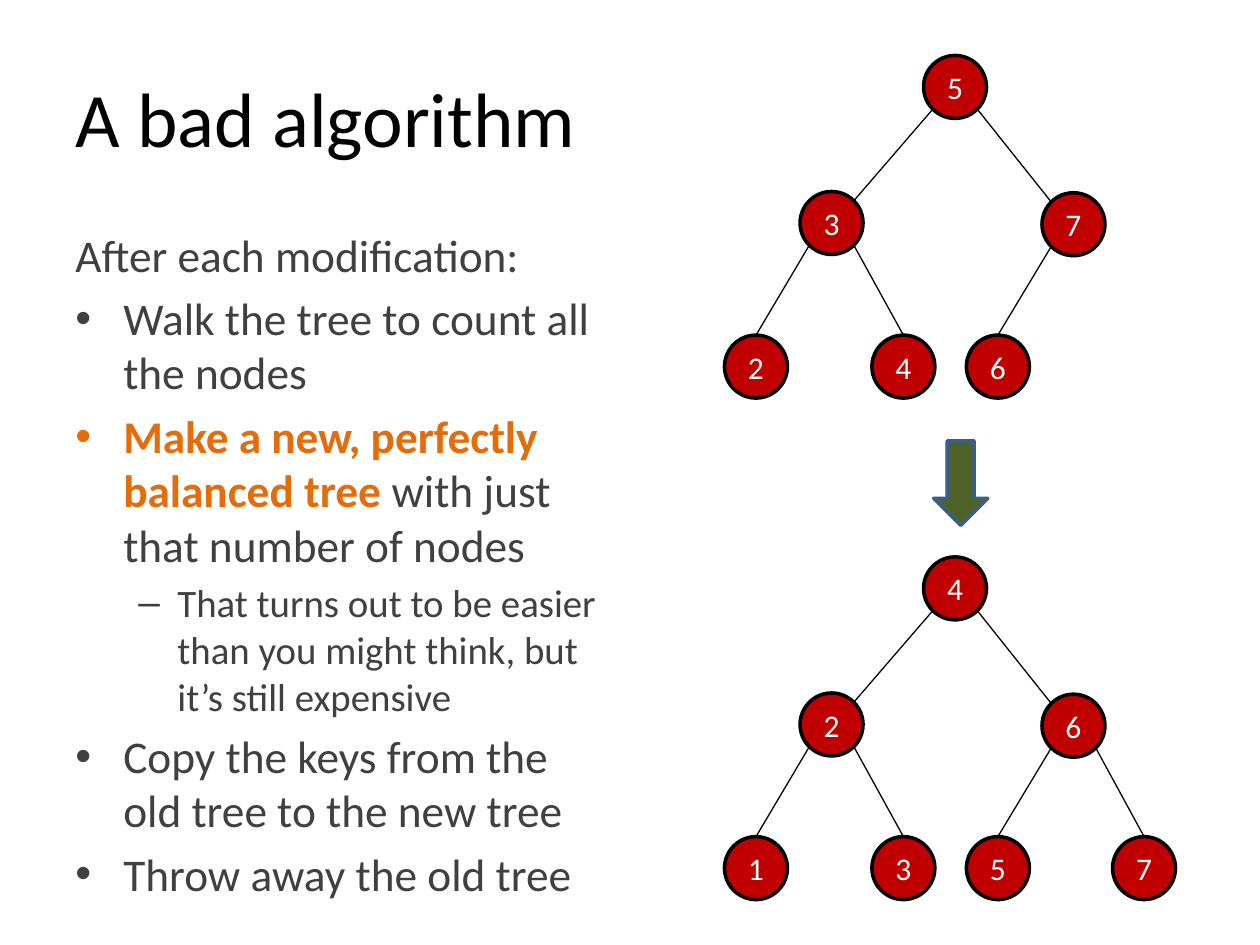
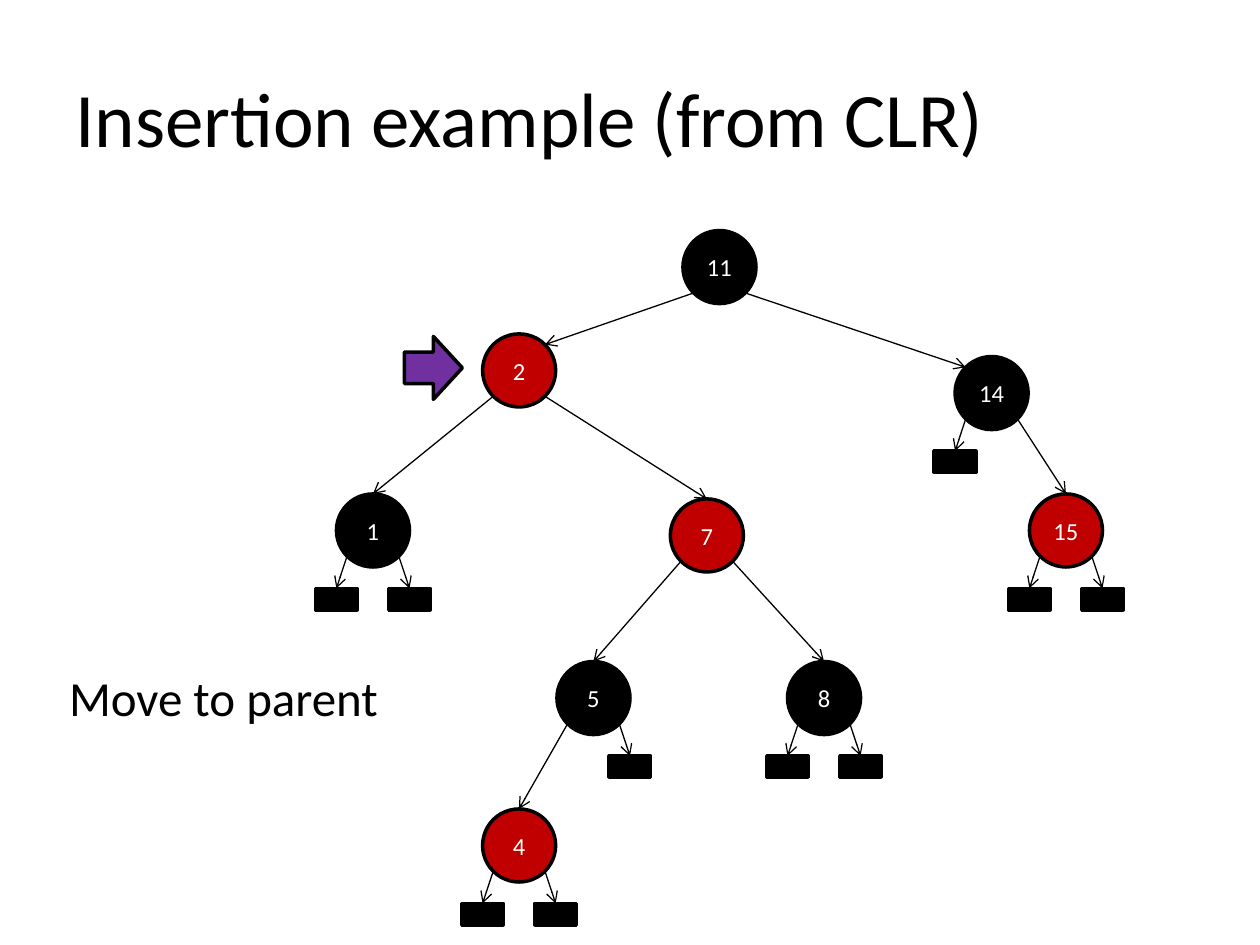
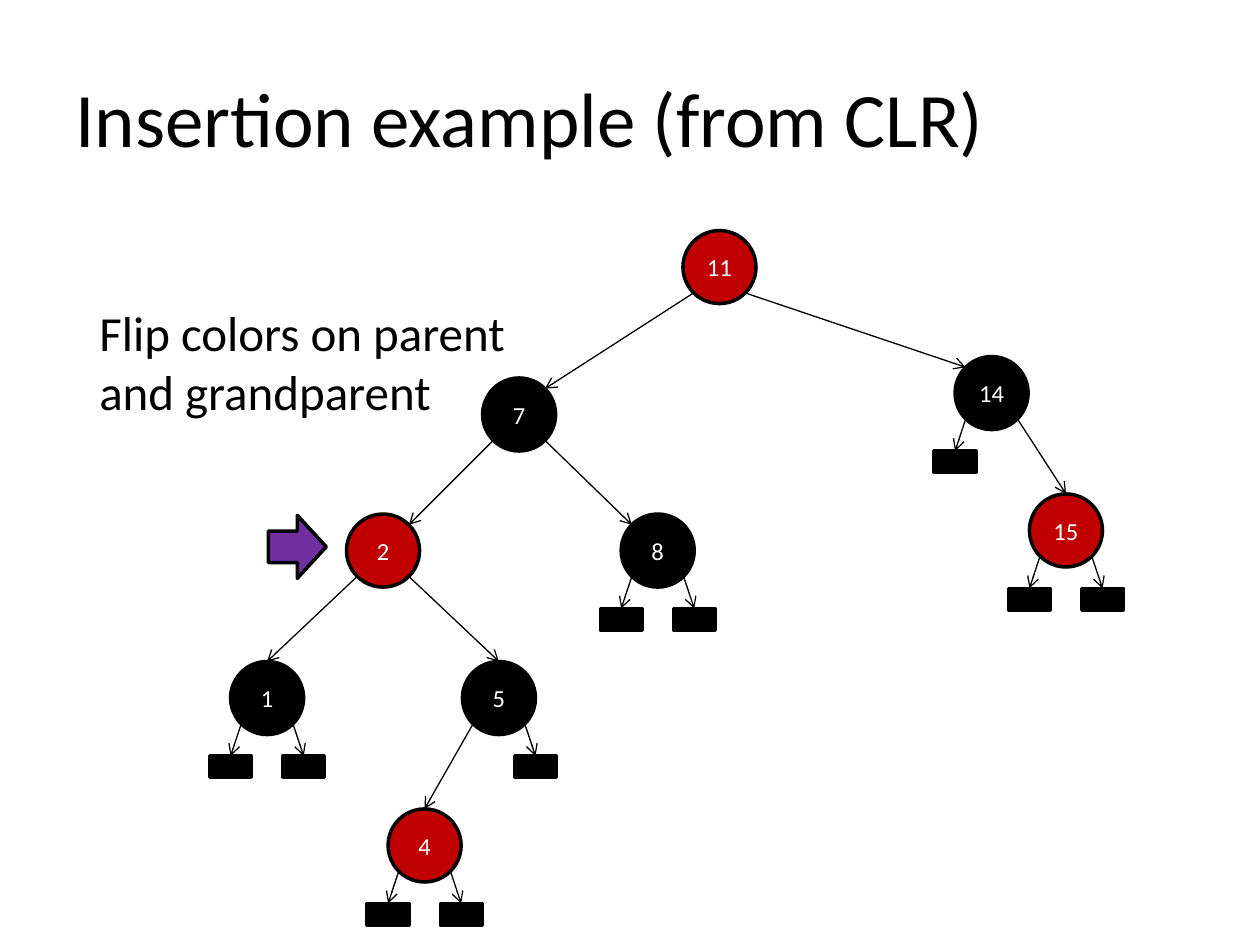
from lxml import etree
from pptx import Presentation
from pptx.dml.color import RGBColor
from pptx.enum.shapes import MSO_CONNECTOR as CONNECTOR, MSO_SHAPE as SHAPE
from pptx.enum.text import MSO_ANCHOR as ANCHOR, PP_ALIGN as ALIGN
from pptx.oxml.ns import qn
from pptx.util import Inches, Pt

FONT = "Calibri"
COLORS = {
    "black": "000000", "red": "C00000", "white": "FFFFFF", "body": "404040",
    "orange": "E46C0A", "green": "4F6228", "blue": "3A5F8C", "purple": "7030A0",
}
RIM = 0.146  # distance from a circle's box to its 45 degree point, per diameter
NIL_WIDTH, NIL_HEIGHT, NIL_DROP = 0.33, 0.17, 0.75


def add_block(page, kind, left, top, width, height, fill, outline="black", label="", size=14):
    """Add an outlined preset shape with an optional centred label."""
    block = page.shapes.add_shape(kind, Inches(left), Inches(top), Inches(width), Inches(height))
    block.shadow.inherit = False
    block.fill.solid()
    block.fill.fore_color.rgb = RGBColor.from_string(COLORS[fill])
    block.line.color.rgb = RGBColor.from_string(COLORS[outline])
    block.line.width = Pt(2)
    if label:
        frame = block.text_frame
        frame.text = label
        frame.word_wrap = False
        frame.vertical_anchor = ANCHOR.MIDDLE
        para = frame.paragraphs[0]
        para.alignment = ALIGN.CENTER
        para.font.name, para.font.size = FONT, Pt(size)
        para.font.color.rgb = RGBColor.from_string(COLORS["white"])


def draw_tree(page, nodes, diameter, size, red_black):
    """Draw (key, left, top, fill, parent, landing) nodes; red-black trees get arrows and nils."""
    places = {key: (left, top) for key, left, top, *_ in nodes}
    near, far = RIM * diameter, (1 - RIM) * diameter
    edges, taken = [], set()
    for key, left, top, fill, parent, landing in nodes:
        add_block(page, SHAPE.OVAL, left, top, diameter, diameter, fill, label=key, size=size)
        if parent:
            is_right = left > places[parent][0]
            taken.add((parent, is_right))
            if landing == "top":
                end = (left + diameter / 2, top)
            else:
                end = (left + (near if is_right else far), top + near)
            edges.append((parent, is_right, end))

    # Empty leaves hang below the left and right edges of a node
    if red_black:
        for key, (left, top) in places.items():
            for is_right in (False, True):
                if (key, is_right) not in taken:
                    middle, nil_top = left + is_right * diameter, top + NIL_DROP
                    add_block(page, SHAPE.RECTANGLE, middle - NIL_WIDTH / 2, nil_top,
                              NIL_WIDTH, NIL_HEIGHT, "black")
                    edges.append((key, is_right, (middle, nil_top)))

    for parent, is_right, (end_x, end_y) in edges:
        left, top = places[parent]
        edge = page.shapes.add_connector(
            CONNECTOR.STRAIGHT, Inches(left + (far if is_right else near)), Inches(top + far),
            Inches(end_x), Inches(end_y))
        edge.line.color.rgb = RGBColor.from_string(COLORS["black"])
        edge.line.width = Pt(0.75)
        if red_black:
            etree.SubElement(edge.line._get_or_add_ln(), qn("a:tailEnd"), type="arrow")
        etree.SubElement(edge._element.spPr, qn("a:effectLst"))


deck = Presentation()
deck.slide_width, deck.slide_height = Inches(10), Inches(7.5)

# Pages with their shared title style
pages = []
for title in ["A bad algorithm"] + ["Insertion example (from CLR)"] * 2:
    page = deck.slides.add_slide(deck.slide_layouts[6])
    box = page.shapes.add_textbox(Inches(0.5), Inches(0.3), Inches(9), Inches(1.25))
    frame = box.text_frame
    frame.text = title
    frame.word_wrap = True
    frame.vertical_anchor = ANCHOR.MIDDLE
    font = frame.paragraphs[0].font
    font.name, font.size = FONT, Pt(44)
    font.color.rgb = RGBColor.from_string(COLORS["black"])
    pages.append(page)
rebuild_page, move_page, flip_page = pages

# Slide 1: steps, as (bullet, indent, hanging, size, highlighted, plain)
steps = [
    ("", 0, 0, 25.9, "", "After each modification:"),
    ("•", 0.38, 0.38, 25.9, "", "Walk the tree to count all the nodes"),
    ("•", 0.38, 0.38, 25.9, "Make a new, perfectly balanced tree ",
     "with just that number of nodes"),
    ("–", 0.81, 0.31, 22.2, "",
     "That turns out to be easier than you might think, but it’s still expensive"),
    ("•", 0.38, 0.38, 25.9, "", "Copy the keys from the old tree to the new tree"),
    ("•", 0.38, 0.38, 25.9, "", "Throw away the old tree"),
]
box = rebuild_page.shapes.add_textbox(Inches(0.5), Inches(1.75), Inches(4.42), Inches(4.95))
frame = box.text_frame
frame.word_wrap = True
for index, (bullet, indent, hanging, size, highlighted, plain) in enumerate(steps):
    para = frame.add_paragraph() if index else frame.paragraphs[0]
    para.space_before = Pt(size * 0.2)
    for text, color in ((highlighted, "orange"), (plain, "body")):
        if text:
            span = para.add_run()
            span.text = text
            span.font.name, span.font.size = FONT, Pt(size)
            span.font.bold = color == "orange"
            span.font.color.rgb = RGBColor.from_string(COLORS[color])
    if bullet:
        props = para._p.get_or_add_pPr()
        props.set("marL", str(Inches(indent)))
        props.set("indent", str(-Inches(hanging)))
        etree.SubElement(props, qn("a:buFont"), typeface="Arial")
        etree.SubElement(props, qn("a:buChar"), char=bullet)

# Slide 1: the tree before and after, one slot grid for both
slots = [(7.33, 0.44), (6.35, 1.52), (8.27, 1.53), (5.75, 2.66), (6.92, 2.66),
         (7.67, 2.66), (8.83, 2.66)]
for keys, shift in (("537246", 0), ("4261357", 3.98)):
    nodes = []
    for index, key in enumerate(keys):
        left, top = slots[index]
        parent = keys[(index - 1) // 2] if index else None
        nodes.append((key, left, top + shift, "red", parent, "top" if index > 2 else "corner"))
    draw_tree(rebuild_page, nodes, 0.5, 18, red_black=False)
add_block(rebuild_page, SHAPE.DOWN_ARROW, 7.41, 3.5, 0.43, 0.67, "green", "blue")

# Slides 2 and 3: the right branch is the same in both trees
right_branch = [
    ("14", 7.58, 2.83, "black", "11", "corner"),
    ("15", 8.17, 3.92, "red", "14", "top"),
]
move_nodes = [
    ("11", 5.42, 1.83, "black", None, None),
    ("2", 3.83, 2.65, "red", "11", "corner"),
    ("1", 2.67, 3.92, "black", "2", "top"),
    ("7", 5.32, 3.96, "red", "2", "top"),
    ("5", 4.42, 5.25, "black", "7", "top"),
    ("8", 6.25, 5.25, "black", "7", "top"),
    ("4", 3.83, 6.42, "red", "5", "top"),
]
flip_nodes = [
    ("11", 5.42, 1.83, "red", None, None),
    ("7", 3.83, 3, "black", "11", "corner"),
    ("2", 2.75, 4.08, "red", "7", "corner"),
    ("8", 4.93, 4.08, "black", "7", "corner"),
    ("1", 1.83, 5.25, "black", "2", "top"),
    ("5", 3.67, 5.25, "black", "2", "top"),
    ("4", 3.08, 6.42, "red", "5", "top"),
]
examples = [
    (move_page, move_nodes, "Move to parent", (0.45, 5.25, 2.68, 0.57), (3.21, 2.67)),
    (flip_page, flip_nodes, "Flip colors on parent\nand grandparent",
     (0.69, 2.35, 3.46, 1.04), (2.13, 4.09)),
]
for page, nodes, caption, area, pointer in examples:
    draw_tree(page, nodes + right_branch, 0.58, 14, red_black=True)
    box = page.shapes.add_textbox(*[Inches(length) for length in area])
    box.text_frame.text = caption
    box.text_frame.word_wrap = False
    for para in box.text_frame.paragraphs:
        para.font.name, para.font.size = FONT, Pt(28)
        para.font.color.rgb = RGBColor.from_string(COLORS["black"])
    add_block(page, SHAPE.RIGHT_ARROW, *pointer, 0.46, 0.5, "purple")

deck.save("out.pptx")
